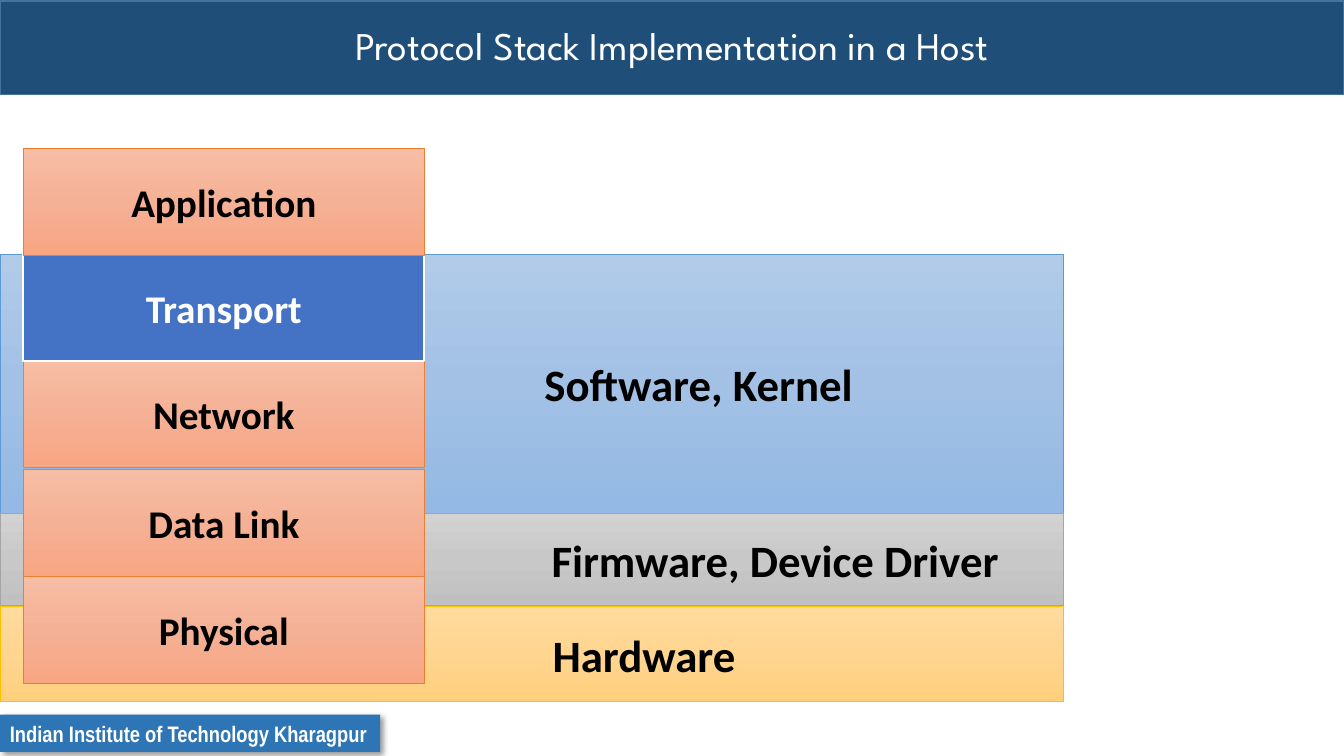
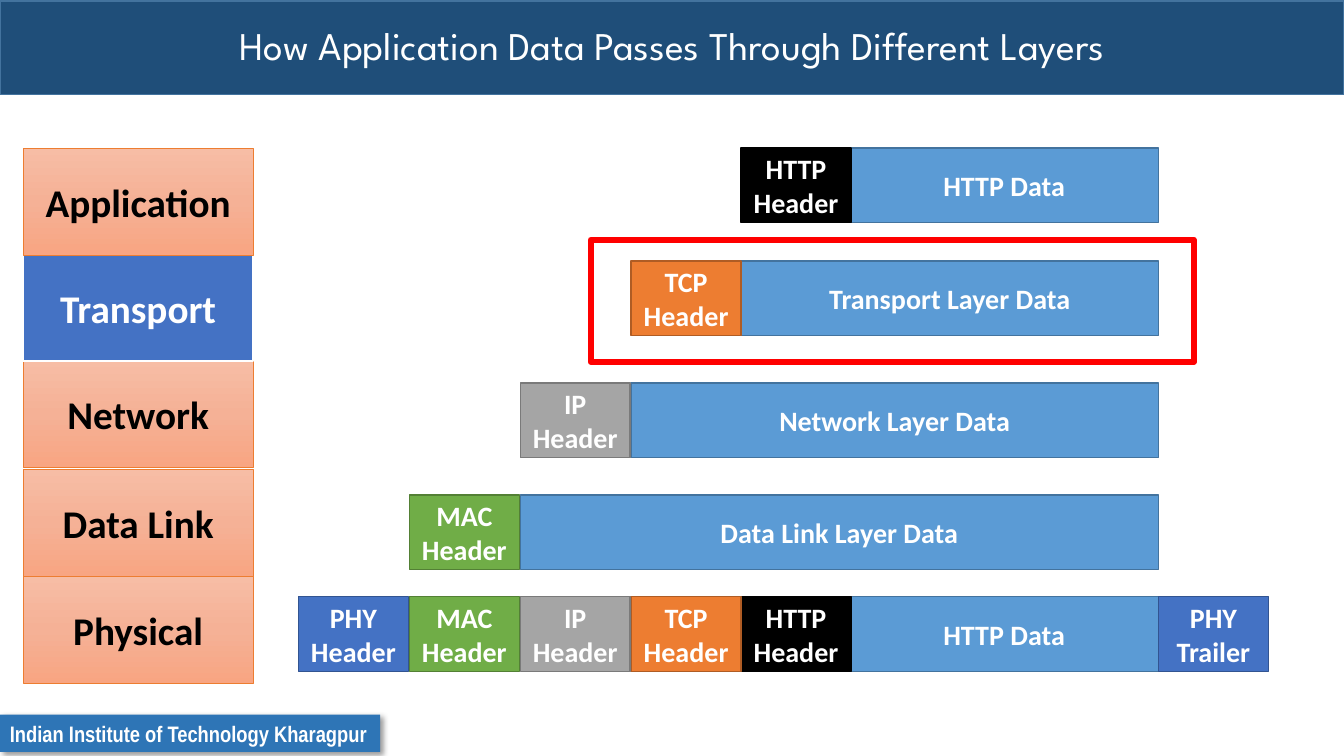
from copy import deepcopy

from lxml.etree import SubElement
from pptx import Presentation
from pptx.dml.color import RGBColor
from pptx.enum.shapes import MSO_SHAPE
from pptx.enum.text import MSO_ANCHOR, MSO_AUTO_SIZE, PP_ALIGN
from pptx.oxml.ns import qn
from pptx.util import Emu, Pt

PX = 9144
WIDTH, HEIGHT = 1333, 750

WHITE = RGBColor(0xFF, 0xFF, 0xFF)
BLACK = RGBColor(0x00, 0x00, 0x00)
RED = RGBColor(0xFF, 0x00, 0x00)
NAVY = RGBColor(0x1F, 0x4E, 0x79)
FOOTER_BLUE = RGBColor(0x2E, 0x75, 0xB6)
SKY = RGBColor(0x5B, 0x9B, 0xD5)
SKY_EDGE = RGBColor(0x43, 0x73, 0x9E)
BLUE = RGBColor(0x44, 0x72, 0xC4)
BLUE_EDGE = RGBColor(0x32, 0x54, 0x91)
ORANGE = RGBColor(0xED, 0x7D, 0x31)
ORANGE_EDGE = RGBColor(0xAF, 0x5C, 0x24)
GRAY = RGBColor(0xA5, 0xA5, 0xA5)
GRAY_EDGE = RGBColor(0x7A, 0x7A, 0x7A)
GREEN = RGBColor(0x70, 0xAD, 0x47)
GREEN_EDGE = RGBColor(0x53, 0x80, 0x35)
GOLD = RGBColor(0xFF, 0xC0, 0x00)

PEACH_FADE = (RGBColor(0xF7, 0xBD, 0xA5), RGBColor(0xF5, 0xB1, 0x96), RGBColor(0xF8, 0xA5, 0x82))
BLUE_FADE = (RGBColor(0xB1, 0xCB, 0xE9), RGBColor(0xA3, 0xC1, 0xE5), RGBColor(0x93, 0xB9, 0xE4))
GRAY_FADE = (RGBColor(0xD2, 0xD2, 0xD2), RGBColor(0xC8, 0xC8, 0xC8), RGBColor(0xC0, 0xC0, 0xC0))
GOLD_FADE = (RGBColor(0xFF, 0xDB, 0x9E), RGBColor(0xFF, 0xD5, 0x90), RGBColor(0xFF, 0xD0, 0x7C))

LAYERS = (
    ("Application", 147),
    ("Transport", 252),
    ("Network", 358),
    ("Data Link", 466),
    ("Physical", 572),
)
BANDS = (
    ("Software, Kernel", 252, 257, 540, BLUE_FADE, SKY),
    ("Firmware, Device Driver", 509, 92, 547, GRAY_FADE, GRAY),
    ("Hardware", 602, 94, 548, GOLD_FADE, GOLD),
)
HEADERS = (
    ("PHY Header", 296, BLUE, BLUE_EDGE),
    ("MAC Header", 406, GREEN, GREEN_EDGE),
    ("IP Header", 516, GRAY, GRAY_EDGE),
    ("TCP Header", 626, ORANGE, ORANGE_EDGE),
    ("HTTP Header", 735, BLACK, BLACK),
)
PAYLOADS = (
    ("HTTP Data", 147, 4),
    ("Transport Layer Data", 259, 3),
    ("Network Layer Data", 380, 2),
    ("Data Link Layer Data", 491, 1),
)
PHYSICAL_TOP = 592
CELL_W, CELL_H = 109, 74
HTTP_DATA_LEFT, DATA_RIGHT = 843, 1149


class Deck:
    def __init__(self):
        self.prs = Presentation()
        self.prs.slide_width = Emu(WIDTH * PX)
        self.prs.slide_height = Emu(HEIGHT * PX)
        self.s = None

    def slide(self, title):
        self.s = self.prs.slides.add_slide(self.prs.slide_layouts[6])
        sp = self.box(0, 1, WIDTH, 93, NAVY, SKY_EDGE)
        self.text(sp, title, 28, font="League Spartan", bold=False)
        sp.text_frame.paragraphs[0].line_spacing = 0.9
        self.footer()

    def footer(self):
        sp = self.box(0, 709, 377, 37, FOOTER_BLUE)
        self.text(sp, "Indian Institute of Technology Kharagpur", 16,
                  font="Arial Narrow", align=PP_ALIGN.LEFT)
        sp.text_frame.word_wrap = False
        sp.text_frame.auto_size = MSO_AUTO_SIZE.SHAPE_TO_FIT_TEXT
        effects = sp._element.spPr.find(qn("a:effectLst"))
        shadow = SubElement(effects, qn("a:outerShdw"), blurRad=str(Pt(4)),
                            dist=str(Pt(3)), dir="2700000", algn="tl", rotWithShape="0")
        color = SubElement(shadow, qn("a:srgbClr"), val=str(BLACK))
        SubElement(color, qn("a:alpha"), val="40000")

    def box(self, x, y, w, h, fill=None, line=None, weight=1, parent=None):
        shapes = (parent or self.s).shapes
        sp = shapes.add_shape(MSO_SHAPE.RECTANGLE, *(Emu(v * PX) for v in (x, y, w, h)))
        if fill is None:
            sp.fill.background()
        elif isinstance(fill, RGBColor):
            sp.fill.solid()
            sp.fill.fore_color.rgb = fill
        else:
            self.fade(sp, fill)
        if line is None:
            sp.line.fill.background()
        else:
            sp.line.color.rgb = line
            sp.line.width = Pt(weight)
        sp.shadow.inherit = False
        return sp

    def fade(self, sp, colors):
        sp.fill.gradient()
        sp.fill.gradient_angle = 270
        stops = sp._element.spPr.find(".//" + qn("a:gsLst"))
        stops.insert(1, deepcopy(stops[0]))
        for i, (stop, color) in enumerate(zip(sp.fill.gradient_stops, colors)):
            stop.position = i / 2
            stop.color.rgb = color

    def text(self, sp, words, size, color=WHITE, font="Calibri", bold=True,
             align=PP_ALIGN.CENTER):
        tf = sp.text_frame
        tf.word_wrap = True
        tf.vertical_anchor = MSO_ANCHOR.MIDDLE
        p = tf.paragraphs[0]
        p.alignment = align
        r = p.add_run()
        r.text = words
        r.font.name = font
        r.font.size = Pt(size)
        r.font.bold = bold
        r.font.color.rgb = color

    def band(self, words, top, height, indent, fade, line):
        sp = self.box(0, top, 1055, height, fade, line, 0.5)
        self.text(sp, words, 32, BLACK, align=PP_ALIGN.LEFT)
        sp.text_frame.margin_left = Emu(indent * PX)

    def stack(self, width):
        group = self.s.shapes.add_group_shape()
        for name, top in reversed(LAYERS):
            if name == "Transport":
                fill, line, weight, color = BLUE, WHITE, 1.5, WHITE
            else:
                fill, line, weight, color = PEACH_FADE, ORANGE, 0.5, BLACK
            sp = self.box(23, top, width, 106, fill, line, weight, group)
            self.text(sp, name, 28, color)

    def cell(self, words, x, y, w=CELL_W, fill=SKY, line=SKY_EDGE):
        self.text(self.box(x, y, w, CELL_H, fill, line), words, 20)

    def header(self, index, top):
        words, x, fill, line = HEADERS[index]
        self.cell(words, x, top, fill=fill, line=line)

    def payload(self, words, left, top):
        self.cell(words, left, top, DATA_RIGHT - left)


def main():
    deck = Deck()

    deck.slide("Protocol Stack Implementation in a Host")
    for band in BANDS:
        deck.band(*band)
    deck.stack(398)

    deck.slide("How Application Data Passes Through Different Layers")
    deck.stack(228)
    lefts = [header[1] for header in HEADERS[1:]] + [HTTP_DATA_LEFT]
    for words, top, index in PAYLOADS:
        deck.payload(words, lefts[index], top)
        deck.header(index, top)
    deck.payload("HTTP Data", HTTP_DATA_LEFT, PHYSICAL_TOP)
    for index in reversed(range(len(HEADERS))):
        deck.header(index, PHYSICAL_TOP)
    deck.cell("PHY Trailer", DATA_RIGHT, PHYSICAL_TOP, fill=BLUE, line=BLUE_EDGE)
    deck.box(586, 238, 598, 121, line=RED, weight=4.5)

    deck.prs.save("out.pptx")


if __name__ == "__main__":
    main()
